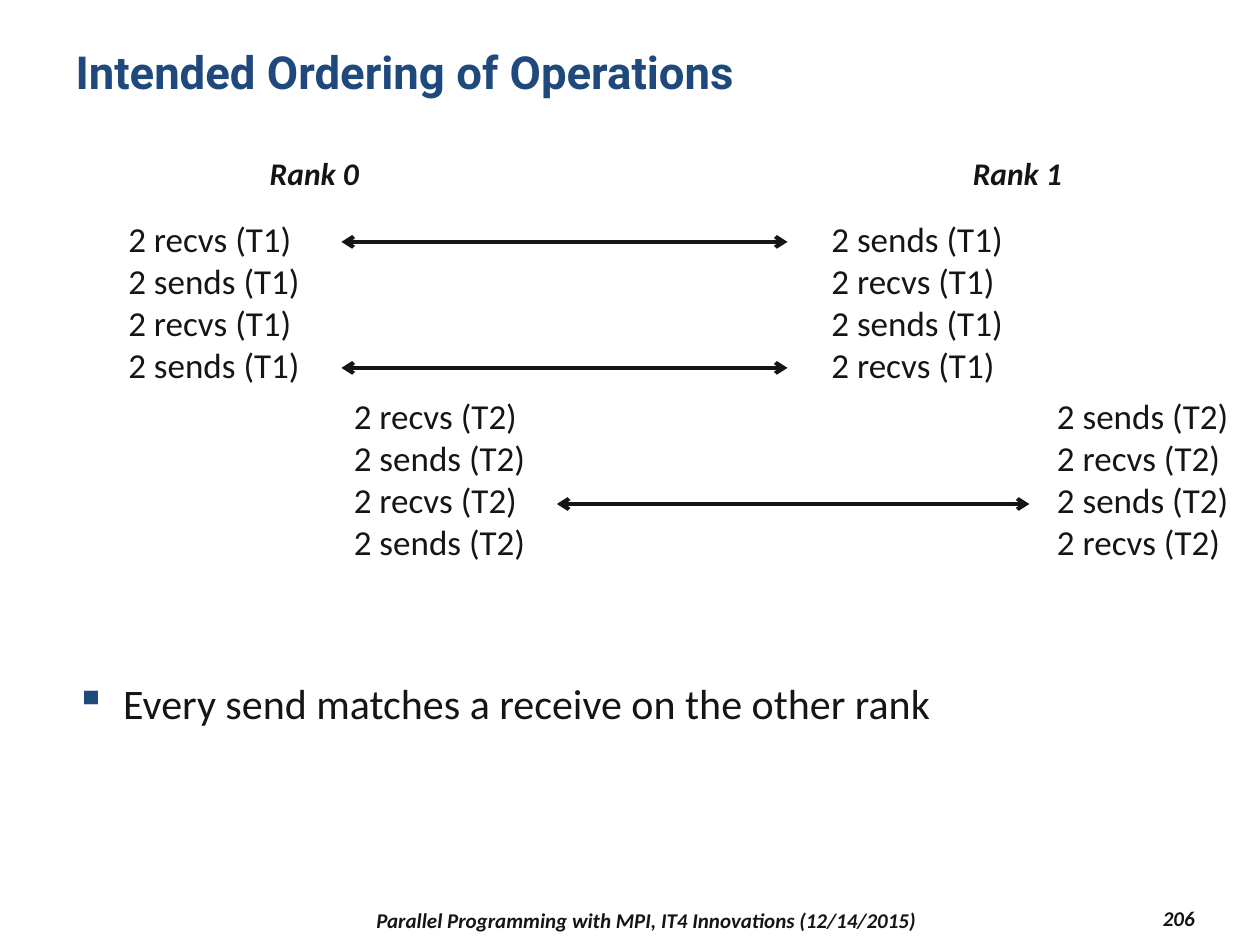
from lxml.etree import SubElement
from pptx import Presentation
from pptx.dml.color import RGBColor
from pptx.enum.shapes import MSO_CONNECTOR
from pptx.enum.text import MSO_ANCHOR as Anchor, MSO_AUTO_SIZE as AutoSize, PP_ALIGN as Align
from pptx.oxml.ns import qn
from pptx.util import Inches, Pt

NAVY = RGBColor(0x1F, 0x49, 0x7D)
INK = RGBColor(0x15, 0x15, 0x15)
RANK_SHIFT = 5.58


def add_run(paragraph, text, size, color=INK, font="Calibri", bold=False, italic=False):
    """Add one formatted run to a paragraph."""
    run = paragraph.add_run()
    run.text = text
    run.font.name = font
    run.font.size = Pt(size)
    run.font.color.rgb = color
    run.font.bold = bold
    run.font.italic = italic


def add_title(slide, text):
    """Place and fill the title placeholder."""
    title = slide.shapes.title
    title.left, title.top = Inches(0.5), Inches(0.3)
    title.width, title.height = Inches(9), Inches(0.87)
    frame = title.text_frame
    frame.vertical_anchor = Anchor.TOP
    frame.auto_size = AutoSize.NONE
    frame.paragraphs[0].alignment = Align.LEFT
    add_run(frame.paragraphs[0], text, 26, NAVY, "Roboto", bold=True)


def add_frame(slide, left, top, width, height, wrap=True):
    """Add a text box and return its text frame."""
    box = slide.shapes.add_textbox(Inches(left), Inches(top), Inches(width), Inches(height))
    box.text_frame.word_wrap = wrap
    return box.text_frame


def add_label(slide, text, size, left, top, width, height, align=Align.CENTER, anchor=Anchor.MIDDLE):
    """Add a one-line bold italic label."""
    frame = add_frame(slide, left, top, width, height)
    frame.vertical_anchor = anchor
    frame.paragraphs[0].alignment = align
    add_run(frame.paragraphs[0], text, size, bold=True, italic=True)


def add_operations(slide, order, thread, left, top):
    """List the alternating operations of one thread."""
    frame = add_frame(slide, left, top, 1.58, 1.45, wrap=False)
    frame.auto_size = AutoSize.SHAPE_TO_FIT_TEXT
    for index, operation in enumerate(order * 2):
        paragraph = frame.add_paragraph() if index else frame.paragraphs[0]
        add_run(paragraph, f"2 {operation} ({thread})", 20)


def add_match_arrow(slide, start, end, y):
    """Draw a horizontal double-headed arrow."""
    arrow = slide.shapes.add_connector(
        MSO_CONNECTOR.STRAIGHT, Inches(start), Inches(y), Inches(end), Inches(y))
    arrow.line.color.rgb = INK
    arrow.line.width = Pt(2.25)
    line = arrow.line._get_or_add_ln()
    for end_tag in ("a:headEnd", "a:tailEnd"):
        SubElement(line, qn(end_tag), type="arrow")
    SubElement(arrow._element.spPr, qn("a:effectLst"))


def add_bullet(slide, text):
    """Add the square-bulleted statement."""
    paragraph = add_frame(slide, 0.5, 5.25, 9, 1.67).paragraphs[0]
    paragraph.line_spacing = 1.2
    properties = paragraph._p.get_or_add_pPr()
    properties.set("marL", str(Inches(0.38)))
    properties.set("indent", str(-Inches(0.38)))
    bullet_color = SubElement(properties, qn("a:buClr"))
    SubElement(bullet_color, qn("a:srgbClr"), val=str(NAVY))
    SubElement(properties, qn("a:buChar"), char="▪")
    add_run(paragraph, text, 24)


def main():
    """Build and save the slide."""
    deck = Presentation()
    deck.slide_width, deck.slide_height = Inches(10), Inches(7.5)
    slide = deck.slides.add_slide(deck.slide_layouts[5])

    add_title(slide, "Intended Ordering of Operations")
    for rank, order in enumerate([["recvs", "sends"], ["sends", "recvs"]]):
        shift = rank * RANK_SHIFT
        add_label(slide, f"Rank {rank}", 18, 1.58 + shift, 1.17, 1.83, 0.4, anchor=Anchor.TOP)
        add_operations(slide, order, "T1", 0.92 + shift, 1.68)
        add_operations(slide, order, "T2", 2.71 + shift, 3.08)
    for start, end, y in [(2.71, 6.25, 1.92), (2.71, 6.25, 2.92), (4.42, 8.17, 4)]:
        add_match_arrow(slide, start, end, y)
    add_bullet(slide, "Every send matches a receive on the other rank")
    add_label(slide, "Parallel Programming with MPI, IT4 Innovations (12/14/2015)",
              12, 2.17, 7.17, 5.92, 0.27)
    add_label(slide, "206", 12, 8.5, 7.15, 1.08, 0.27, align=Align.RIGHT)

    deck.save("out.pptx")


if __name__ == "__main__":
    main()
